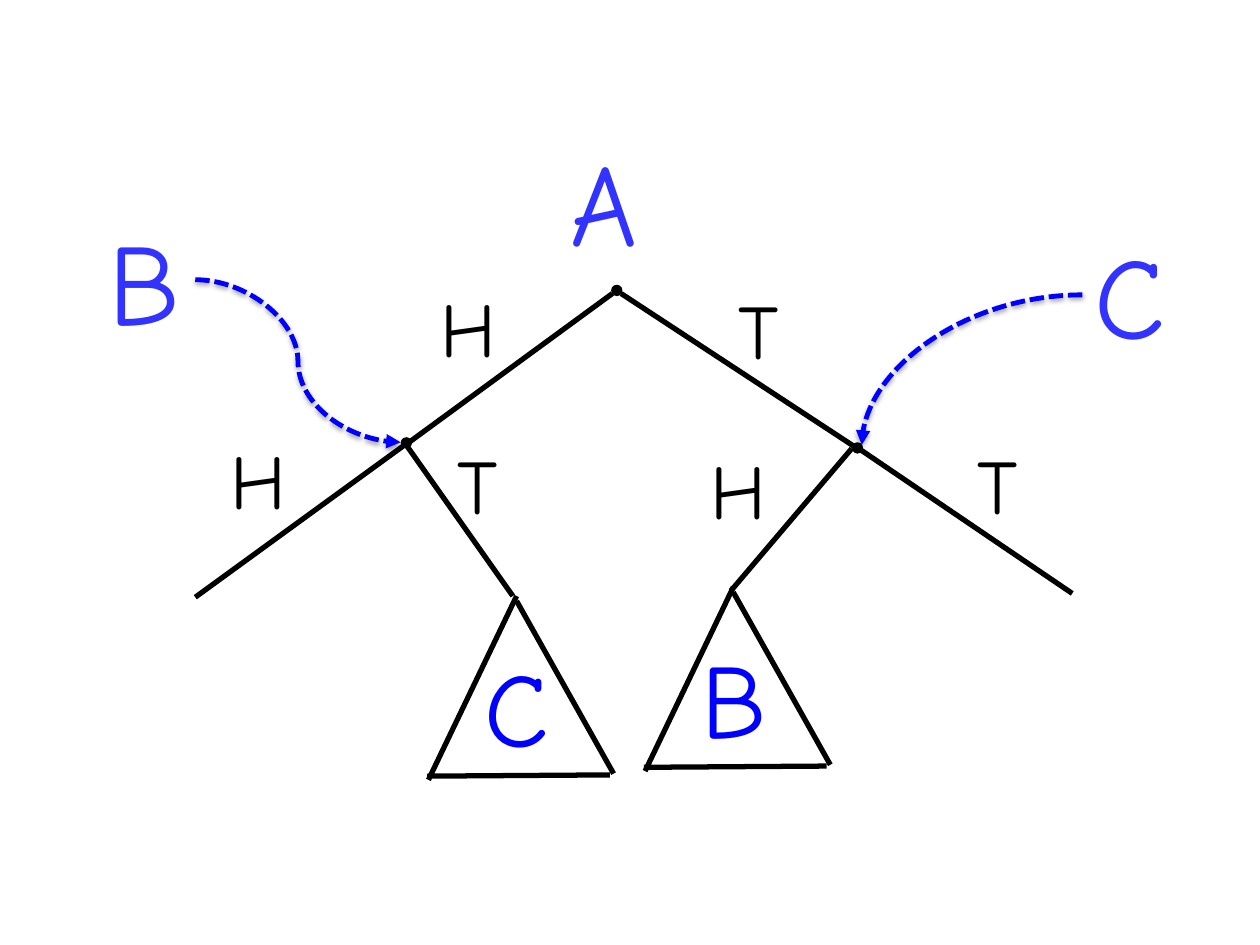
from dataclasses import dataclass

from lxml.etree import SubElement
from pptx import Presentation
from pptx.dml.color import RGBColor
from pptx.enum.dml import MSO_LINE
from pptx.enum.shapes import MSO_CONNECTOR, MSO_SHAPE
from pptx.enum.text import MSO_AUTO_SIZE
from pptx.oxml.ns import qn
from pptx.util import Inches, Pt


@dataclass(frozen=True)
class Theme:
    font: str = "Comic Neue"
    ink: str = "000000"
    player: str = "3333FF"
    accent: str = "0000FF"
    toss_size: int = 44
    subtree_size: int = 60
    player_size: int = 66
    branch_width: float = 3
    pointer_width: float = 2.75


COLUMNS, ROWS = 100, 75
LETTER_HEIGHT = {44: 8.4, 60: 11.1, 66: 12.1}
TOSS_WIDTH = {"H": 6.8, "T": 6.4}
DOT = 0.9


def write(frame, text, *, font, size, color):
    frame.word_wrap = False
    frame.auto_size = MSO_AUTO_SIZE.SHAPE_TO_FIT_TEXT
    paragraph = frame.paragraphs[0]
    run = paragraph.add_run()
    run.text = text
    run.font.name = font
    run.font.size = Pt(size)
    run.font.color.rgb = RGBColor.from_string(color)


class TreeSlide:
    def __init__(self, deck, theme):
        self.theme = theme
        self.column = deck.slide_width / COLUMNS
        self.row = deck.slide_height / ROWS
        self.slide = deck.slides.add_slide(deck.slide_layouts[6])

    def place(self, x, y):
        return round(x * self.column), round(y * self.row)

    def letter(self, text, x, y, width, size, color):
        box = self.slide.shapes.add_textbox(
            *self.place(x, y), *self.place(width, LETTER_HEIGHT[size]))
        write(box.text_frame, text, font=self.theme.font, size=size, color=color)

    def toss(self, outcome, x, y):
        self.letter(outcome, x, y, TOSS_WIDTH[outcome],
                    self.theme.toss_size, self.theme.ink)

    def player(self, name, x, y, width):
        self.letter(name, x, y, width, self.theme.player_size, self.theme.player)

    def connect(self, kind, start, end, color, width):
        connector = self.slide.shapes.add_connector(
            kind, *self.place(*start), *self.place(*end))
        connector.line.color.rgb = RGBColor.from_string(color)
        connector.line.width = Pt(width)
        effects = SubElement(connector._element.spPr, qn("a:effectLst"))
        return connector, effects

    def branch(self, start, end):
        self.connect(MSO_CONNECTOR.STRAIGHT, start, end,
                     self.theme.ink, self.theme.branch_width)

    def pointer(self, start, end, curve):
        connector, effects = self.connect(
            MSO_CONNECTOR.CURVE, start, end,
            self.theme.accent, self.theme.pointer_width)
        connector.line.dash_style = MSO_LINE.SQUARE_DOT
        outline = connector.line._get_or_add_ln()
        SubElement(outline, qn("a:tailEnd"), type="triangle")
        connector._element.spPr.find(qn("a:prstGeom")).set("prst", curve)
        shadow = SubElement(effects, qn("a:outerShdw"), blurRad=str(Pt(3.1)),
                            dist=str(Pt(1.6)), dir="5400000", rotWithShape="0")
        tint = SubElement(shadow, qn("a:srgbClr"), val=self.theme.ink)
        SubElement(tint, qn("a:alpha"), val="38000")

    def node(self, x, y):
        dot = self.slide.shapes.add_shape(
            MSO_SHAPE.OVAL, *self.place(x, y), *self.place(DOT, DOT))
        dot.shadow.inherit = False
        dot.fill.solid()
        dot.fill.fore_color.rgb = RGBColor.from_string(self.theme.ink)
        dot.line.fill.background()

    def subtree(self, name, x, y, width):
        self.branch((x, y), (x - 7, y + 14.6))
        self.branch((x, y + 0.4), (x + 7.7, y + 14.1))
        self.branch((x - 7.1, y + 14.3), (x + 7.4, y + 14.2))
        self.letter(name, x - 3.5, y + 3.2, width,
                    self.theme.subtree_size, self.theme.accent)


def main():
    deck = Presentation()
    deck.slide_width, deck.slide_height = Inches(10), Inches(7.5)
    tree = TreeSlide(deck, Theme())

    branches = [
        ((49.3, 23.3), (67.9, 35.5)),
        ((48.6, 23.3), (32.2, 35.3)),
        ((32.3, 35.4), (40.7, 47.3)),
        ((32, 35.4), (15.5, 47.4)),
        ((68.3, 35.7), (85.1, 47.1)),
        ((67.6, 35.6), (58, 46.9)),
    ]
    for start, end in branches:
        tree.branch(start, end)

    tosses = [
        ("H", 34, 21.8), ("T", 57.6, 21.9),
        ("H", 17.3, 33.8), ("T", 35.3, 34.2),
        ("H", 55.4, 34.6), ("T", 76.6, 34.2),
    ]
    for outcome, x, y in tosses:
        tree.toss(outcome, x, y)

    tree.subtree("C", 41, 47.3, 7.1)
    tree.subtree("B", 58.2, 46.6, 7.3)

    tree.player("A", 44.3, 9.9, 8.8)
    tree.player("B", 7.6, 16.2, 7.9)
    tree.player("C", 85.9, 17.3, 7.9)

    tree.pointer((15.5, 22.2), (31.8, 35.1), "curvedConnector3")
    tree.pointer((85.9, 23.4), (68.4, 35.3), "curvedConnector2")

    for x, y in [(48.5, 22.6), (31.8, 34.7), (67.6, 35.1)]:
        tree.node(x, y)

    deck.save("out.pptx")


if __name__ == "__main__":
    main()
